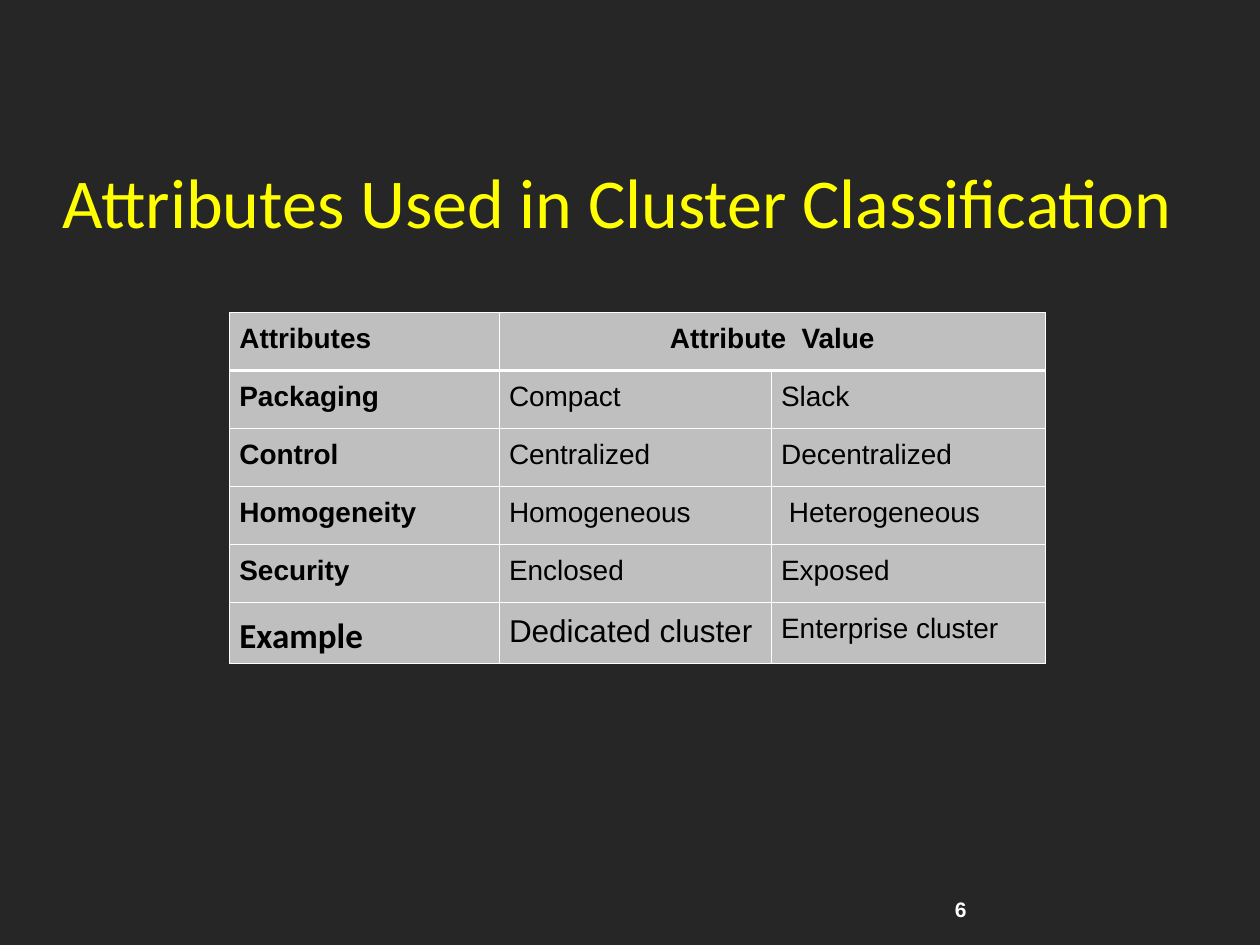
import pptx
import pptx.dml.color
import pptx.enum.text
import pptx.oxml
import pptx.oxml.ns
import pptx.util

COLORS = {
    "background": "262626",
    "title": "FFFF00",
    "shadow": "999900",
    "cell": "BFBFBF",
    "text": "000000",
    "light": "FFFFFF",
}
GRID_COLUMNS, GRID_ROWS = 100, 75
ALIGN = pptx.enum.text.PP_ALIGN
ANCHOR = pptx.enum.text.MSO_ANCHOR


class ClusterSlide:
    def __init__(self, presentation):
        self.unit_x = presentation.slide_width / GRID_COLUMNS
        self.unit_y = presentation.slide_height / GRID_ROWS
        self.slide = presentation.slides.add_slide(presentation.slide_layouts[6])
        self.paint(self.slide.background.fill, "background")

    def color(self, name):
        return pptx.dml.color.RGBColor.from_string(COLORS[name])

    def paint(self, fill, name):
        fill.solid()
        fill.fore_color.rgb = self.color(name)

    def place(self, left, top, width, height):
        return (
            round(left * self.unit_x),
            round(top * self.unit_y),
            round(width * self.unit_x),
            round(height * self.unit_y),
        )

    def set_text(self, frame, text, size, font="Arial", color="text", bold=False, align=ALIGN.LEFT):
        paragraph = frame.paragraphs[0]
        paragraph.text = text
        paragraph.alignment = align
        paragraph.font.name = font
        paragraph.font.size = pptx.util.Pt(size)
        paragraph.font.bold = bold
        paragraph.font.color.rgb = self.color(color)
        return paragraph

    def text(self, box, text, size, anchor=ANCHOR.TOP, **style):
        frame = self.slide.shapes.add_textbox(*self.place(*box)).text_frame
        frame.word_wrap = True
        frame.vertical_anchor = anchor
        return self.set_text(frame, text, size, **style)

    def shadow(self, paragraph):
        properties = paragraph.runs[0]._r.get_or_add_rPr()
        properties.append(pptx.oxml.parse_xml(
            f'<a:effectLst {pptx.oxml.ns.nsdecls("a")}>'
            '<a:outerShdw dist="17961" dir="2700000">'
            f'<a:srgbClr val="{COLORS["shadow"]}"/></a:outerShdw></a:effectLst>'
        ))

    def border(self, cell, side, points):
        cell._tc.get_or_add_tcPr().append(pptx.oxml.parse_xml(
            f'<a:ln{side} {pptx.oxml.ns.nsdecls("a")} w="{pptx.util.Pt(points)}">'
            f'<a:solidFill><a:srgbClr val="{COLORS["light"]}"/></a:solidFill></a:ln{side}>'
        ))

    def table(self, left, top, widths, row_height, rows, styles):
        box = self.place(left, top, sum(widths), row_height * len(rows))
        table = self.slide.shapes.add_table(len(rows), len(widths), *box).table
        for column, width in zip(table.columns, widths):
            column.width = round(width * self.unit_x)
        for row_index, row in enumerate(rows):
            table.rows[row_index].height = round(row_height * self.unit_y)
            heavy_side = {0: "B", 1: "T"}.get(row_index)
            for column_index, text in enumerate(row):
                cell = table.cell(row_index, column_index)
                cell.margin_left = cell.margin_right = pptx.util.Inches(0.08)
                for side in "LRTB":
                    self.border(cell, side, 1.47 if side == heavy_side else 0.45)
                self.paint(cell.fill, "cell")
                if text:
                    style = {"size": 16, "bold": row_index == 0 or column_index == 0}
                    style.update(styles.get(text, {}))
                    self.set_text(cell.text_frame, text, **style).line_spacing = 1.15
        table.cell(0, 1).merge(table.cell(0, 2))


def main():
    presentation = pptx.Presentation()
    presentation.slide_width = pptx.util.Inches(10)
    presentation.slide_height = pptx.util.Inches(7.5)
    page = ClusterSlide(presentation)

    page.text((74.8, 70.7, 5.7, 3), "6", 12, color="light", bold=True)
    rows = [
        ("Attributes", "Attribute  Value", ""),
        ("Packaging", "Compact", "Slack"),
        ("Control", "Centralized", "Decentralized"),
        ("Homogeneity", "Homogeneous", " Heterogeneous"),
        ("Security", "Enclosed", "Exposed"),
        ("Example", "Dedicated cluster", "Enterprise cluster"),
    ]
    styles = {
        "Attribute  Value": {"align": ALIGN.CENTER},
        "Example": {"size": 20, "font": "Calibri"},
        "Dedicated cluster": {"size": 18},
    }
    page.table(18.2, 24.8, (21.4, 21.6, 21.8), 4.6, rows, styles)
    title = page.text(
        (3.9, 8.7, 90.2, 14.4), "Attributes Used in Cluster Classification", 40,
        anchor=ANCHOR.MIDDLE, font="Calibri", color="title", align=ALIGN.CENTER,
    )
    page.shadow(title)
    presentation.save("out.pptx")


if __name__ == "__main__":
    main()
